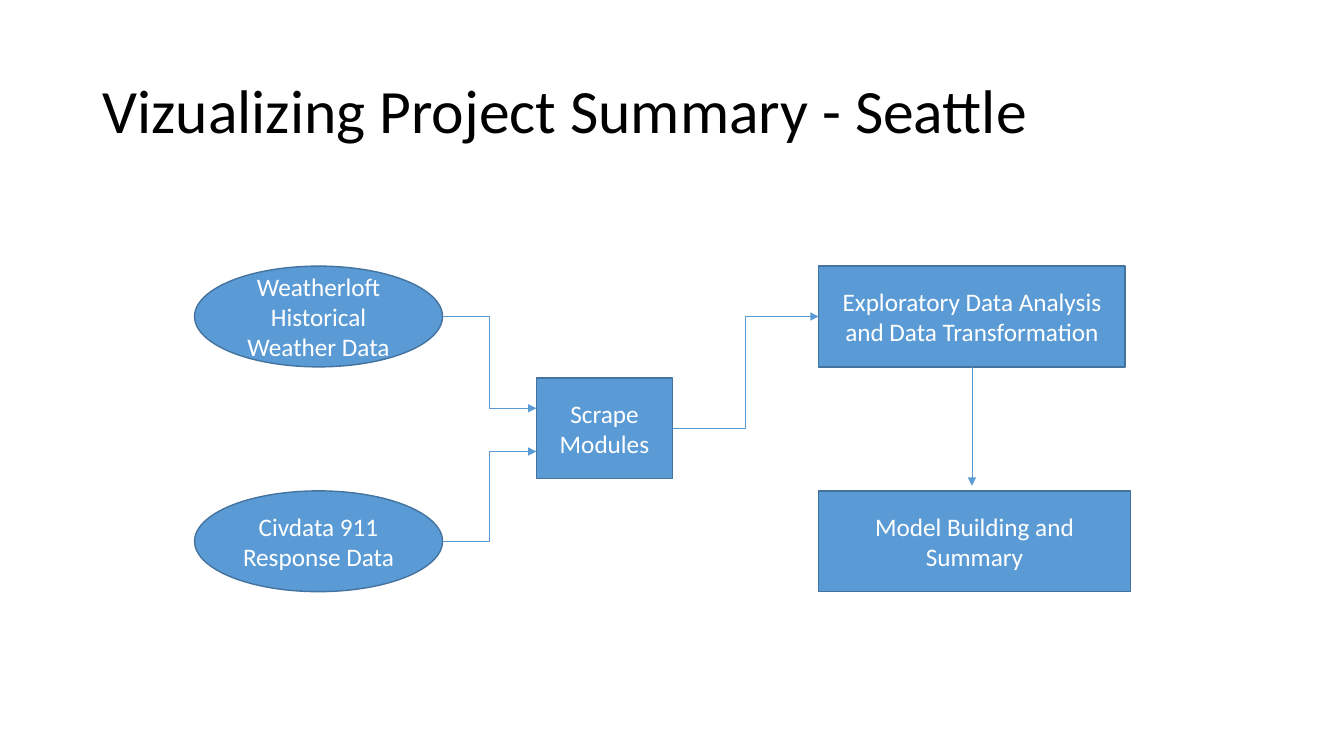
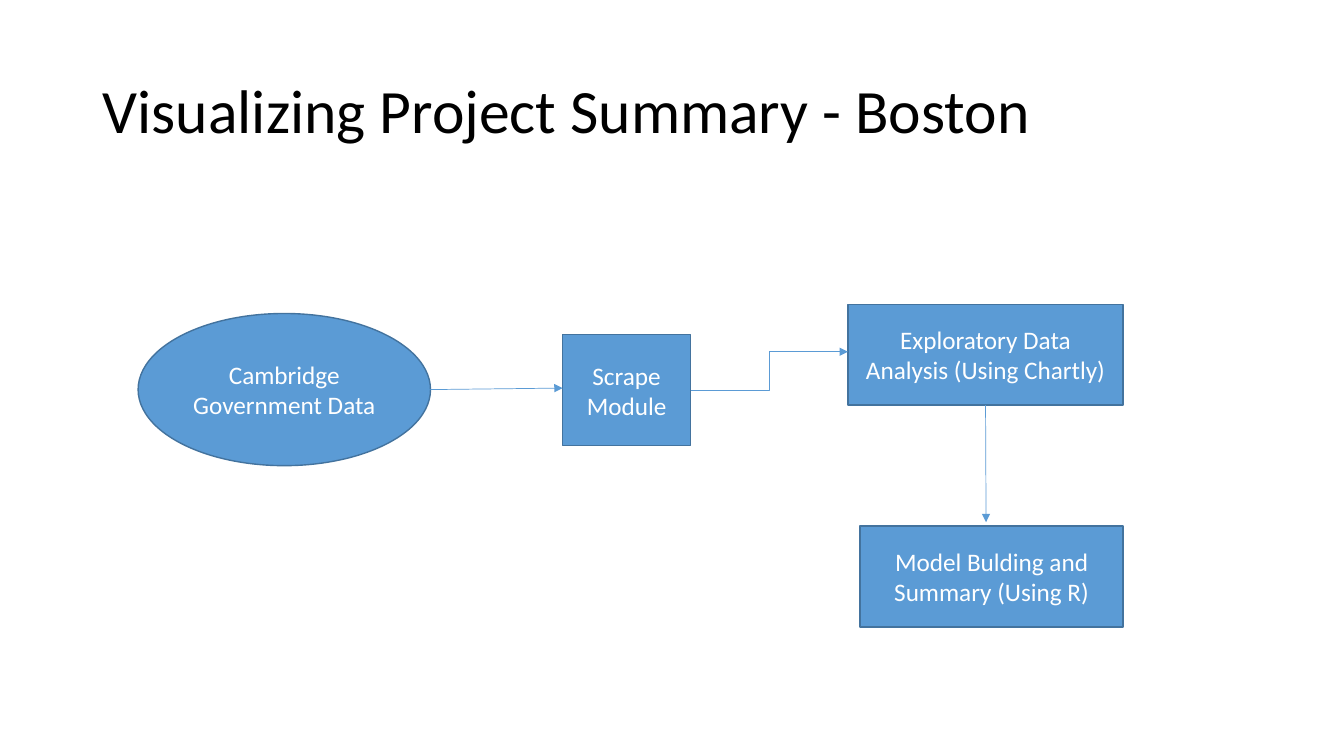
"""Build two project summary flow diagrams, one slide per city."""
from dataclasses import dataclass

from lxml import etree
from pptx import Presentation
from pptx.dml.color import RGBColor
from pptx.enum.shapes import MSO_CONNECTOR, MSO_SHAPE
from pptx.enum.text import MSO_ANCHOR, PP_ALIGN
from pptx.oxml.ns import qn
from pptx.util import Inches, Pt

OVAL, RECT = MSO_SHAPE.OVAL, MSO_SHAPE.RECTANGLE
STRAIGHT, ELBOW = MSO_CONNECTOR.STRAIGHT, MSO_CONNECTOR.ELBOW
LEFT, CENTER, MIDDLE = PP_ALIGN.LEFT, PP_ALIGN.CENTER, MSO_ANCHOR.MIDDLE
SITES = {(OVAL, "right"): 6, (RECT, "right"): 3, (RECT, "bottom"): 2}


@dataclass(frozen=True)
class Theme:
    """Hold the shared colours, type sizes and line widths."""
    font: str = "Calibri"
    title_size: float = 44
    node_size: float = 18
    title_color: str = "000000"
    node_text: str = "FFFFFF"
    node_fill: str = "5B9BD5"
    node_line: str = "43739E"
    arrow: str = "5B9BD5"
    node_width: float = 1
    arrow_width: float = 0.5


THEME = Theme()
TITLE_BOX = (0.92, 0.4, 11.5, 1.45)

SLIDES = [
    {
        "title": "Vizualizing Project Summary - Seattle",
        "nodes": {
            "weather": (OVAL, "Weatherloft Historical Weather Data", (1.93, 2.64, 2.46, 1)),
            "response": (OVAL, "Civdata 911 Response Data", (1.93, 4.87, 2.46, 1)),
            "scrape": (RECT, "Scrape Modules", (5.32, 3.75, 1.35, 1)),
            "explore": (RECT, "Exploratory Data Analysis and Data Transformation",
                        (8.12, 2.64, 3.04, 1)),
            "model": (RECT, "Model Building and Summary", (8.12, 4.87, 3.09, 1)),
        },
        "arrows": [
            ("scrape", "right", ELBOW, (8.12, 3.14)),
            ("explore", "bottom", STRAIGHT, (9.64, 4.82)),
            ("weather", "right", ELBOW, (5.32, 4.05)),
            ("response", "right", ELBOW, (5.32, 4.48)),
        ],
    },
    {
        "title": "Visualizing Project Summary - Boston",
        "nodes": {
            "government": (OVAL, "Cambridge Government Data", (1.37, 3.11, 2.9, 1.51)),
            "scrape": (RECT, "Scrape Module", (5.58, 3.32, 1.27, 1.1)),
            "explore": (RECT, "Exploratory Data Analysis (Using Chartly)",
                        (8.41, 3.02, 2.73, 1)),
            "model": (RECT, "Model Bulding and Summary (Using R)", (8.53, 5.22, 2.61, 1)),
        },
        "arrows": [
            ("government", "right", STRAIGHT, (5.58, 3.85)),
            ("scrape", "right", ELBOW, (8.41, 3.49)),
            ("explore", "bottom", STRAIGHT, (9.78, 5.18)),
        ],
    },
]


def write(tf, text, *, size, color, align, spacing=None):
    """Put one formatted paragraph in a text frame."""
    tf.word_wrap = True
    tf.vertical_anchor = MIDDLE
    p = tf.paragraphs[0]
    p.alignment = align
    p.line_spacing = spacing
    r = p.add_run()
    r.text = text
    r.font.name = THEME.font
    r.font.size = Pt(size)
    r.font.color.rgb = RGBColor.from_string(color)


def set_line(line, color, width):
    """Set the colour and width of a line."""
    line.color.rgb = RGBColor.from_string(color)
    line.width = Pt(width)


def add_title(s, text):
    """Place and fill the title placeholder."""
    sp = s.shapes.title
    sp.left, sp.top, sp.width, sp.height = map(Inches, TITLE_BOX)
    write(sp.text_frame, text, size=THEME.title_size, color=THEME.title_color,
          align=LEFT, spacing=0.9)


def add_node(s, kind, text, box):
    """Add one labelled step of the flow."""
    sp = s.shapes.add_shape(kind, *map(Inches, box))
    sp.shadow.inherit = False
    sp.fill.solid()
    sp.fill.fore_color.rgb = RGBColor.from_string(THEME.node_fill)
    set_line(sp.line, THEME.node_line, THEME.node_width)
    write(sp.text_frame, text, size=THEME.node_size, color=THEME.node_text, align=CENTER)
    return sp


def add_arrow(s, source, side, kind, end):
    """Add an arrow attached to one side of a node and ending at a point."""
    if side == "right":
        start = source.left + source.width, source.top + source.height // 2
    else:
        start = source.left + source.width // 2, source.top + source.height
    cx = s.shapes.add_connector(kind, *start, *map(Inches, end))
    set_line(cx.line, THEME.arrow, THEME.arrow_width)
    el = cx._element
    etree.SubElement(el.find(".//" + qn("p:cNvCxnSpPr")), qn("a:stCxn"),
                     id=str(source.shape_id), idx=str(SITES[source.auto_shape_type, side]))
    etree.SubElement(el.spPr.find(qn("a:ln")), qn("a:tailEnd"), type="triangle")
    etree.SubElement(el.spPr, qn("a:effectLst"))


def main():
    """Build and save the deck."""
    prs = Presentation()
    prs.slide_width, prs.slide_height = Inches(13.33), Inches(7.5)
    for content in SLIDES:
        s = prs.slides.add_slide(prs.slide_layouts[5])
        add_title(s, content["title"])
        nodes = {name: add_node(s, *node) for name, node in content["nodes"].items()}
        for name, side, kind, end in content["arrows"]:
            add_arrow(s, nodes[name], side, kind, end)
    prs.save("out.pptx")


if __name__ == "__main__":
    main()
